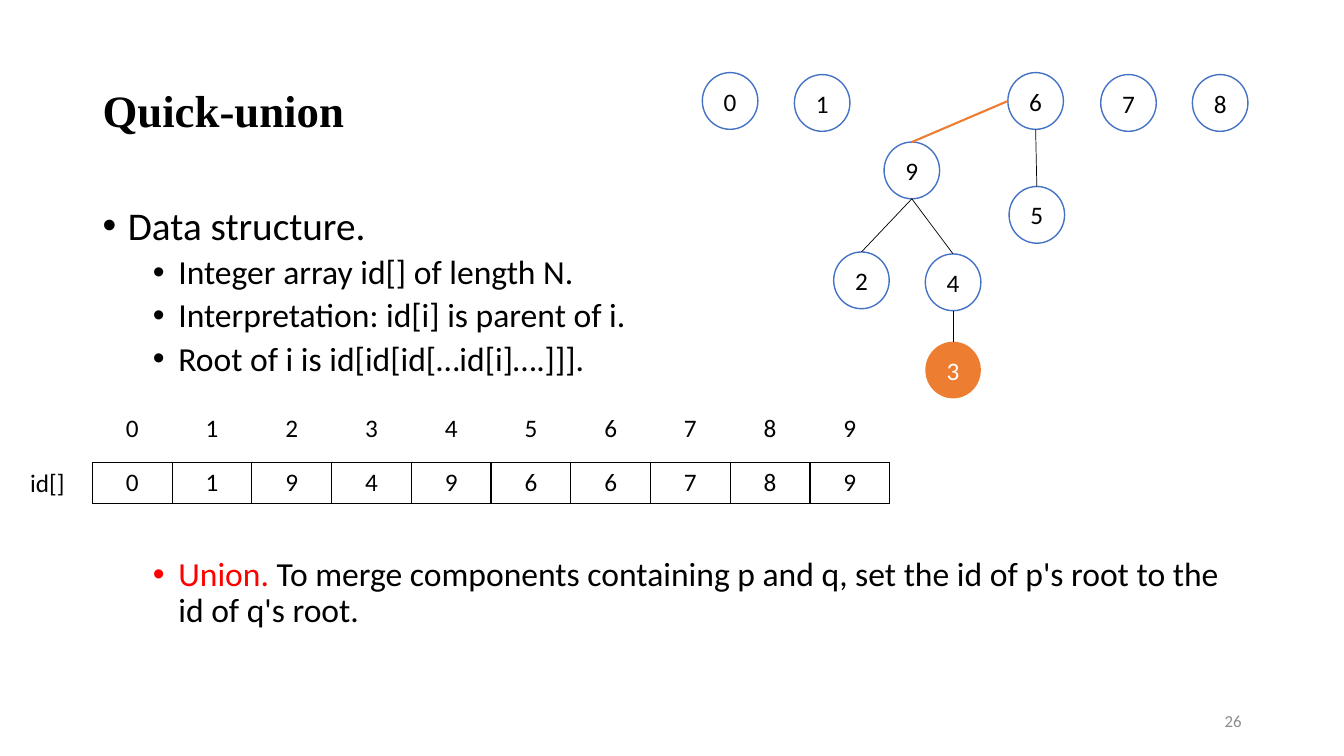
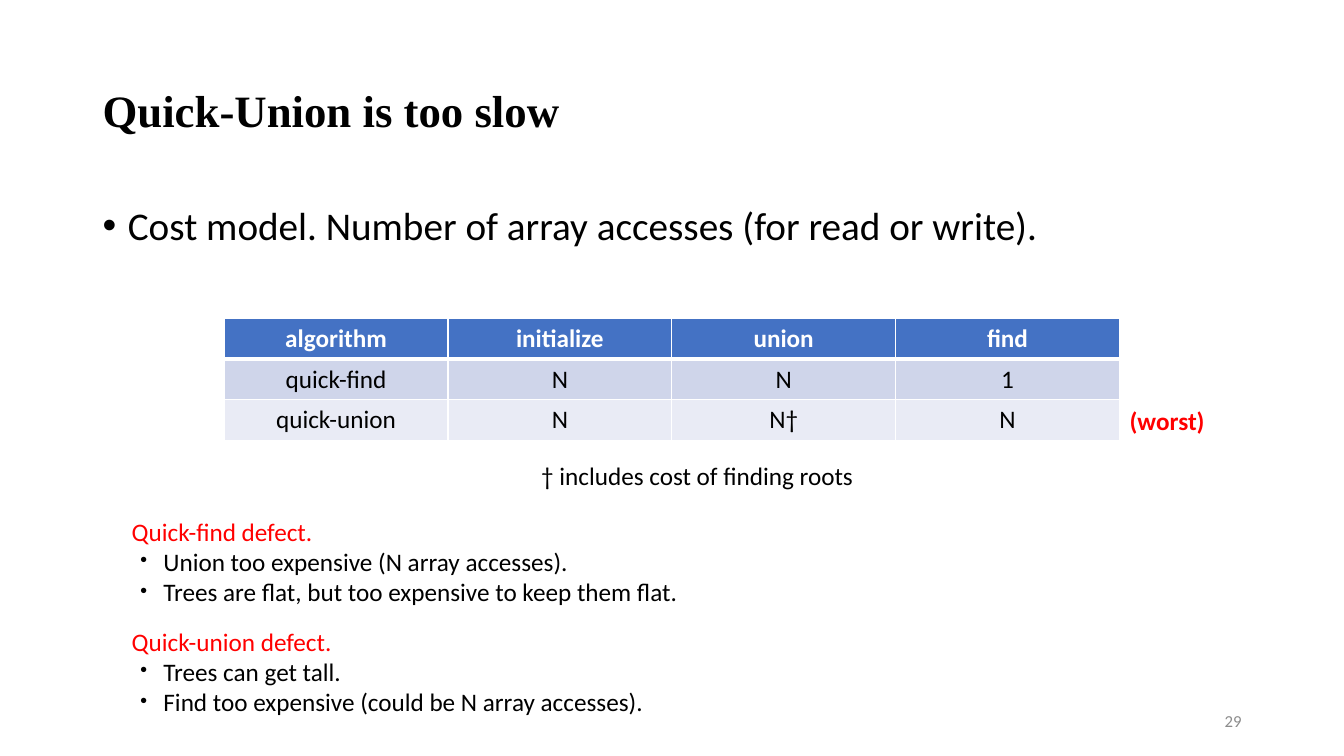
"""Build two slides on the quick-union data structure and its cost."""
import lxml.etree
import pptx
import pptx.dml.color
import pptx.enum.shapes
import pptx.enum.text
import pptx.oxml.ns
import pptx.util

Cm = pptx.util.Cm
Pt = pptx.util.Pt
qn = pptx.oxml.ns.qn
RGBColor = pptx.dml.color.RGBColor
ALIGN = pptx.enum.text.PP_ALIGN
ANCHOR = pptx.enum.text.MSO_ANCHOR

BLACK = RGBColor(0x00, 0x00, 0x00)
WHITE = RGBColor(0xFF, 0xFF, 0xFF)
RED = RGBColor(0xFF, 0x00, 0x00)
BLUE = RGBColor(0x44, 0x72, 0xC4)
ORANGE = RGBColor(0xED, 0x7D, 0x31)
GREY = RGBColor(0x8C, 0x8C, 0x8C)
MID = RGBColor(0xCF, 0xD5, 0xEA)
PALE = RGBColor(0xE9, 0xEB, 0xF5)


def say(par, words, size=18, color=BLACK, bold=False, font="Calibri"):
    run = par.add_run()
    run.text = words
    run.font.name = font
    run.font.size = Pt(size)
    run.font.bold = bold
    run.font.color.rgb = color


def mark(par, sign, left, hang, font):
    props = par._p.get_or_add_pPr()
    props.set("marL", str(Cm(left)))
    props.set("indent", str(-Cm(hang)))
    lxml.etree.SubElement(props, qn("a:buFont"), typeface=font)
    lxml.etree.SubElement(props, qn("a:buChar"), char=sign)


deck = pptx.Presentation()
deck.slide_width = Cm(33.87)
deck.slide_height = Cm(19.05)

pages = [
    ("Quick-union", "26", [
        (0, 0, [("Data structure.", BLACK)]),
        (1, 5, [("Integer array id[] of length N.", BLACK)]),
        (1, 5, [("Interpretation: id[i] is parent of i.", BLACK)]),
        (1, 5, [("Root of i is id[id[id[…id[i]….]]].", BLACK)]),
        (1, 128, [("Union.", RED),
                  (" To merge components containing p and q, set the id"
                   " of p's root to the id of q's root.", BLACK)]),
    ]),
    ("Quick-Union is too slow", "29", [
        (0, 0, [("Cost model. Number of array accesses"
                 " (for read or write).", BLACK)]),
    ]),
]
for head, num, items in pages:
    slide = deck.slides.add_slide(deck.slide_layouts[1])
    title, body = slide.shapes.title, slide.placeholders[1]
    for hold, top, height in ((title, 1.01, 3.68), (body, 5.07, 12.09)):
        hold.left, hold.top = Cm(2.33), Cm(top)
        hold.width, hold.height = Cm(29.21), Cm(height)
        hold.text_frame.auto_size = pptx.enum.text.MSO_AUTO_SIZE.NONE
    title.text_frame.vertical_anchor = ANCHOR.MIDDLE
    par = title.text_frame.paragraphs[0]
    par.alignment = ALIGN.LEFT
    par.line_spacing = 0.9
    say(par, head, 32, bold=True, font="Times New Roman")

    for pos, (level, gap, runs) in enumerate(items):
        frame = body.text_frame
        par = frame.add_paragraph() if pos else frame.paragraphs[0]
        par.level = level
        par.line_spacing = 0.9
        par.space_before = Pt(gap)
        mark(par, "•", 0.64 + 1.27 * level, 0.64, "Arial")
        for words, color in runs:
            say(par, words, 28 - 4 * level, color)

    foot = slide.shapes.add_textbox(Cm(23.92), Cm(17.66), Cm(7.62), Cm(1.01))
    foot.text_frame.word_wrap = True
    foot.text_frame.vertical_anchor = ANCHOR.MIDDLE
    par = foot.text_frame.paragraphs[0]
    par.alignment = ALIGN.RIGHT
    say(par, num, 12, GREY)

tree, cost = deck.slides

grids = [
    (tree, 2.33, 10.29, 2.01, 1.03, ["0123456789"], [None], None),
    (tree, 2.33, 11.66, 2.01, 1.03, ["0194966789"], [None], BLACK),
    (cost, 5.65, 8.03, 5.64, 1.02, [
        ("algorithm", "initialize", "union", "find"),
        ("quick-find", "N", "N", "1"),
        ("quick-union", "N", "N†", "N"),
    ], [BLUE, MID, PALE], WHITE),
]
for slide, left, top, wide, high, rows, fills, edge in grids:
    count = len(rows[0])
    grid = slide.shapes.add_table(len(rows), count, Cm(left), Cm(top),
                                  Cm(wide * count), Cm(high * len(rows))).table
    grid.first_row = slide is cost
    grid.horz_banding = False
    for row, (texts, fill) in enumerate(zip(rows, fills)):
        for col, words in enumerate(texts):
            cell = grid.cell(row, col)
            top_row = fill == BLUE
            par = cell.text_frame.paragraphs[0]
            par.alignment = ALIGN.CENTER
            say(par, words, 18, WHITE if top_row else BLACK, top_row)
            for side in "LRTB" if edge is not None else "":
                thick = (side == "B" and top_row) or (
                    side == "T" and row == 1)
                line = lxml.etree.SubElement(
                    cell._tc.get_or_add_tcPr(), qn("a:ln" + side),
                    w=str(Pt(3 if thick else 1)))
                paint = lxml.etree.SubElement(line, qn("a:solidFill"))
                lxml.etree.SubElement(paint, qn("a:srgbClr"), val=str(edge))
            if fill is None:
                cell.fill.background()
            else:
                cell.fill.solid()
                cell.fill.fore_color.rgb = fill

spots = {
    "0": (17.7, 1.83), "1": (20.02, 1.88), "9": (22.28, 3.58),
    "6": (25.4, 1.83), "7": (27.74, 1.88), "8": (30.05, 1.88),
    "2": (21.01, 6.35), "4": (23.32, 6.4), "5": (25.43, 4.7),
    "3": (23.32, 8.61),
}
nodes = {}
for name, (left, top) in spots.items():
    node = tree.shapes.add_shape(pptx.enum.shapes.MSO_SHAPE.OVAL,
                                 Cm(left), Cm(top), Cm(1.4), Cm(1.43))
    node.shadow.inherit = False
    node.fill.solid()
    if name == "3":
        node.fill.fore_color.rgb = ORANGE
        node.line.fill.background()
    else:
        node.fill.fore_color.rgb = WHITE
        node.line.color.rgb = BLUE
        node.line.width = Pt(1)
    frame = node.text_frame
    frame.margin_left = frame.margin_right = 0
    frame.vertical_anchor = ANCHOR.MIDDLE
    par = frame.paragraphs[0]
    par.alignment = ALIGN.CENTER
    say(par, name, 18, WHITE if name == "3" else BLACK)
    nodes[name] = node

for up, down in ("92", "94", "43", "65", "69"):
    root, leaf = nodes[up], nodes[down]
    merge = up + down == "69"
    start = (root.left if merge else root.left + root.width // 2,
             root.top + (root.height // 2 if merge else root.height))
    link = tree.shapes.add_connector(
        pptx.enum.shapes.MSO_CONNECTOR.STRAIGHT, *start,
        leaf.left + leaf.width // 2, leaf.top)
    link.line.color.rgb = ORANGE if merge else BLACK
    link.line.width = Pt(1.5 if merge else 0.5)
    lxml.etree.SubElement(link._element.spPr, qn("a:effectLst"))

labels = [
    (tree, 0.51, 11.66, 1.55, "id[]", BLACK, False),
    (cost, 13.39, 11.48, 8.48, "† includes cost of finding roots",
     BLACK, False),
    (cost, 28.22, 10.08, 2.46, "(worst)", RED, True),
]
for slide, left, top, wide, words, color, bold in labels:
    box = slide.shapes.add_textbox(Cm(left), Cm(top), Cm(wide), Cm(1.03))
    box.text_frame.word_wrap = False
    say(box.text_frame.paragraphs[0], words, 18, color, bold)

flaws = [
    (12.88, "Quick-find defect.",
     ["Union too expensive (N array accesses).",
      "Trees are flat, but too expensive to keep them flat."]),
    (15.65, "Quick-union defect.",
     ["Trees can get tall.",
      "Find too expensive (could be N array accesses)."]),
]
for top, head, points in flaws:
    box = cost.shapes.add_textbox(Cm(3.07), Cm(top), Cm(23.27), Cm(2.57))
    frame = box.text_frame
    frame.word_wrap = True
    say(frame.paragraphs[0], head, 18, RED)
    for words in points:
        par = frame.add_paragraph()
        mark(par, "・", 0.8, 0.8, "Calibri")
        say(par, words)

deck.save("out.pptx")
